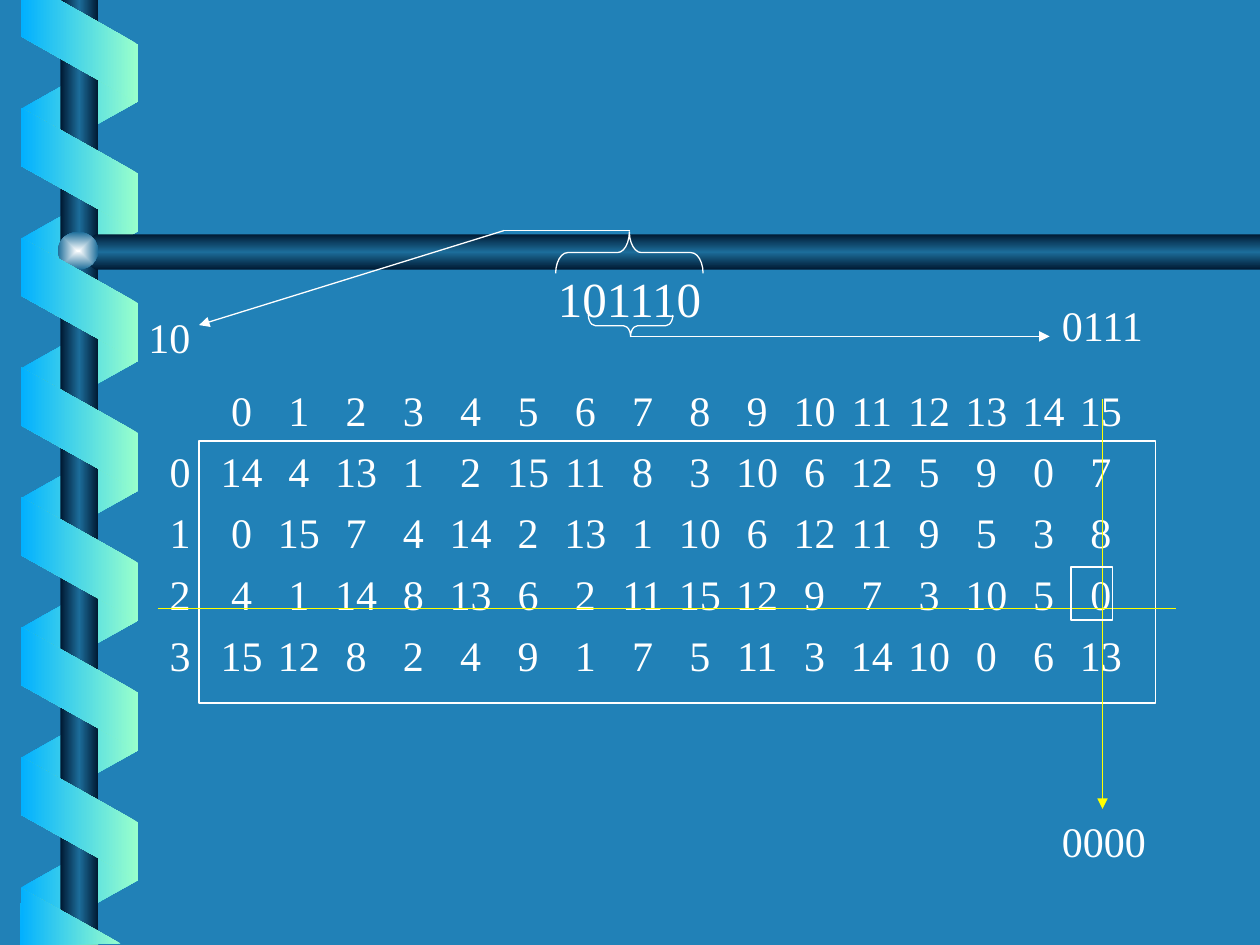
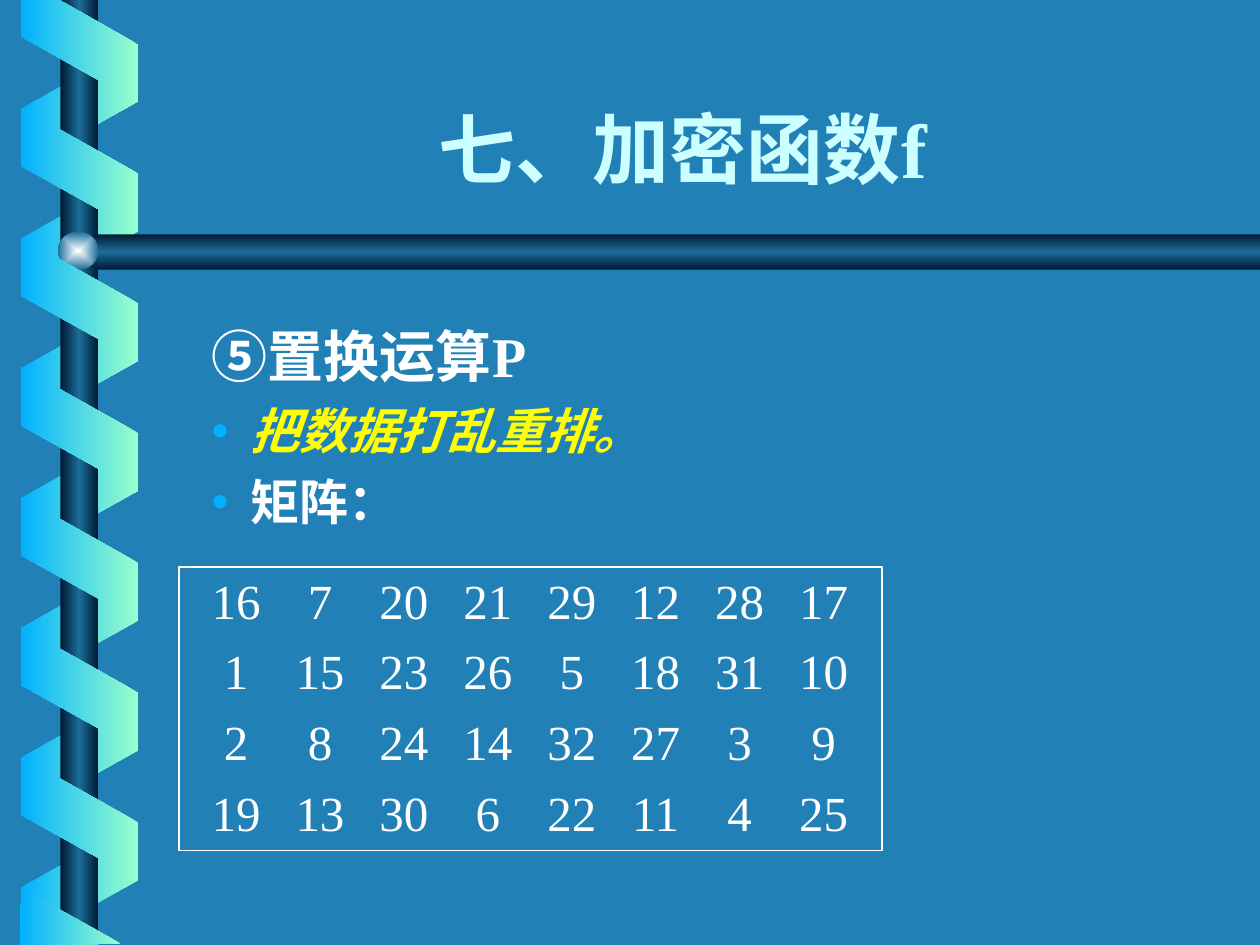
from dataclasses import dataclass

from pptx import Presentation
from pptx.dml.color import RGBColor
from pptx.enum.shapes import MSO_CONNECTOR, MSO_SHAPE
from pptx.enum.text import MSO_ANCHOR, MSO_AUTO_SIZE, PP_ALIGN
from pptx.oxml import parse_xml
from pptx.oxml.ns import nsdecls, qn
from pptx.util import Inches, Pt

STRAIGHT = MSO_CONNECTOR.STRAIGHT
RECTANGLE = MSO_SHAPE.RECTANGLE
ELLIPSE = MSO_SHAPE.OVAL
PARALLELOGRAM = MSO_SHAPE.PARALLELOGRAM
LEFT_BRACE = MSO_SHAPE.LEFT_BRACE
CENTER = PP_ALIGN.CENTER
JUSTIFY_LEFT = PP_ALIGN.LEFT
MIDDLE = MSO_ANCHOR.MIDDLE
BOTTOM = MSO_ANCHOR.BOTTOM
NO_AUTOFIT = MSO_AUTO_SIZE.NONE

COLORS = {
    "background": "2181B7",
    "text": "FFFFFF",
    "title": "CCFFFF",
    "highlight": "FFFF00",
    "ribbon_blue": "01B0FF",
    "ribbon_green": "99FFCC",
    "pole_dark": "001932",
    "pole_light": "1C6D9A",
    "ball_light": "FEFFFF",
}
SERIF = "Times New Roman"
SANS = "Roboto Condensed"
NO_GRID_STYLE = "{2D5ABB26-0587-4C30-8999-92F81FD0307C}"

BACK_RIBBON = ["ribbon_blue", "ribbon_green"]
FRONT_RIBBON = ["ribbon_green", "ribbon_blue"]
POLE = ["pole_dark", "pole_light", "pole_dark"]

SUBSTITUTION_ROWS = [
    [""] + list(range(16)),
    [0, 14, 4, 13, 1, 2, 15, 11, 8, 3, 10, 6, 12, 5, 9, 0, 7],
    [1, 0, 15, 7, 4, 14, 2, 13, 1, 10, 6, 12, 11, 9, 5, 3, 8],
    [2, 4, 1, 14, 8, 13, 6, 2, 11, 15, 12, 9, 7, 3, 10, 5, 0],
    [3, 15, 12, 8, 2, 4, 9, 1, 7, 5, 11, 3, 14, 10, 0, 6, 13],
]
PERMUTATION_ROWS = [
    [16, 7, 20, 21, 29, 12, 28, 17],
    [1, 15, 23, 26, 5, 18, 31, 10],
    [2, 8, 24, 14, 32, 27, 3, 9],
    [19, 13, 30, 6, 22, 11, 4, 25],
]


@dataclass
class Box:
    left: float
    top: float
    width: float
    height: float

    def inner(self, left, top, width, height):
        return Box(self.left + left, self.top + top, width, height)

    def emu(self):
        return [Inches(v) for v in (self.left, self.top, self.width, self.height)]


def rgb(name):
    return RGBColor.from_string(COLORS[name])


def add_text(paragraph, text, size, color="text", font=SERIF, bold=False, italic=False):
    run = paragraph.add_run()
    run.text = text
    run.font.name = font
    run.font.size = Pt(size)
    run.font.bold = bold
    run.font.italic = italic
    run.font.color.rgb = rgb(color)


def fill_gradient(shape, color_names, angle=None):
    last = len(color_names) - 1
    stops = "".join(
        f'<a:gs pos="{index * 100000 // last}"><a:srgbClr val="{COLORS[name]}"/></a:gs>'
        for index, name in enumerate(color_names)
    )
    if angle is None:
        direction = (
            '<a:path path="rect"><a:fillToRect l="50000" t="50000" '
            'r="50000" b="50000"/></a:path>'
        )
    else:
        direction = f'<a:lin ang="{angle * 60000}" scaled="1"/>'
    gradient = parse_xml(
        f'<a:gradFill {nsdecls("a")} rotWithShape="0">'
        f"<a:gsLst>{stops}</a:gsLst>{direction}</a:gradFill>"
    )
    shape.shadow.inherit = False
    shape.line.fill.background()
    shape.fill.background()
    properties = shape.element.spPr
    properties.replace(properties.find(qn("a:noFill")), gradient)


def add_outline(slide, preset, box, rotation=0):
    shape = slide.shapes.add_shape(preset, *box.emu())
    shape.shadow.inherit = False
    shape.fill.background()
    shape.line.color.rgb = rgb("text")
    shape.line.width = Pt(0.75)
    shape.rotation = rotation
    return shape


def add_line(slide, start, end, color="text", arrow=False):
    connector = slide.shapes.add_connector(
        STRAIGHT, *[Inches(value) for value in (*start, *end)]
    )
    connector.line.color.rgb = rgb(color)
    connector.line.width = Pt(0.75)
    properties = connector.element.spPr
    if arrow:
        properties.find(qn("a:ln")).append(
            parse_xml(f'<a:tailEnd {nsdecls("a")} type="triangle"/>')
        )
    properties.append(parse_xml(f'<a:effectLst {nsdecls("a")}/>'))


def add_label(slide, box, text, size=24):
    frame = slide.shapes.add_textbox(*box.emu()).text_frame
    frame.word_wrap = True
    add_text(frame.paragraphs[0], text, size)


def add_matrix(slide, box, rows, size, first_width=None):
    column_count = len(rows[0])
    graphic = slide.shapes.add_table(len(rows), column_count, *box.emu())
    table = graphic.table
    table.first_row = False
    table.horz_banding = False
    next(graphic.element.iter(qn("a:tableStyleId"))).text = NO_GRID_STYLE
    if first_width:
        rest = (box.width - first_width) / (column_count - 1)
        for index, column in enumerate(table.columns):
            column.width = Inches(rest if index else first_width)
    for row_index, values in enumerate(rows):
        for column_index, value in enumerate(values):
            cell = table.cell(row_index, column_index)
            cell.fill.background()
            cell.vertical_anchor = MIDDLE
            cell.margin_left = cell.margin_right = 0
            cell.margin_top = cell.margin_bottom = 0
            paragraph = cell.text_frame.paragraphs[0]
            paragraph.alignment = CENTER
            add_text(paragraph, str(value), size)


def add_ribbon(slide, box, top, front):
    shape = slide.shapes.add_shape(PARALLELOGRAM, *box.inner(0.14, top, 0.98, 0.93).emu())
    shape.adjustments[0] = 0.56
    shape.rotation = 270 if front else 90
    if not front:
        shape.element.spPr.find(qn("a:xfrm")).set("flipH", "1")
    fill_gradient(shape, FRONT_RIBBON if front else BACK_RIBBON, 180)


def add_polygon(slide, box, points, color_names, angle):
    corners = [(Inches(box.left + x), Inches(box.top + y)) for x, y in points]
    builder = slide.shapes.build_freeform(*corners[0])
    builder.add_line_segments(corners[1:], close=True)
    fill_gradient(builder.convert_to_shape(), color_names, angle)


def add_spiral_frame(slide, box):
    pitch = 1.03
    for index in range(7):
        add_ribbon(slide, box, 0.37 + pitch * index, front=False)
    pole = slide.shapes.add_shape(RECTANGLE, *box.inner(0.48, 0, 0.3, box.height).emu())
    fill_gradient(pole, POLE, 180)
    crossbar = [(box.width, 1.86), (0.76, 1.86), (0.6, 2), (0.76, 2.14), (box.width, 2.14)]
    add_polygon(slide, box, crossbar, POLE, 90)
    ball = slide.shapes.add_shape(ELLIPSE, *box.inner(0.46, 1.84, 0.32, 0.3).emu())
    fill_gradient(ball, ["ball_light", "pole_light"])
    for index in range(6):
        add_ribbon(slide, box, 0.88 + pitch * index, front=True)
    top_end = [(0.17, 0), (0.17, 0.29), (1.09, 0.81), (1.09, 0.35), (0.47, 0)]
    bottom_end = [(0.96, 7.49), (0.17, 7.05), (0.16, 7.5)]
    for points in (top_end, bottom_end):
        add_polygon(slide, box, points, FRONT_RIBBON, 180)


def style_master(presentation, slide, box):
    master = presentation.slide_master
    master.background.fill.solid()
    master.background.fill.fore_color.rgb = rgb("background")
    add_spiral_frame(slide, box)
    for index, shape in enumerate(list(slide.shapes)):
        shape.element.xpath(".//p:cNvPr")[0].set("id", str(100 + index))
        master.shapes.element.insert(2 + index, shape.element)


def add_input_bits(slide, box):
    x, y = box.left, box.top
    middle = x + 3.92
    add_label(slide, box.inner(3.25, 0.25, 1.67, 0.57), "101110", 28)
    add_label(slide, box.inner(0, 0.59, 1.67, 0.5), "10")
    add_label(slide, box.inner(7.25, 0.5, 1.08, 0.5), "0111")
    outer = add_outline(slide, LEFT_BRACE, box.inner(3.75, -0.41, 0.33, 1.17), 90)
    outer.adjustments[0] = 0.29
    inner = add_outline(slide, LEFT_BRACE, box.inner(3.84, 0.42, 0.17, 0.67), 270)
    inner.adjustments[0] = 0.33
    add_line(slide, (middle, y), (x + 2.92, y))
    add_line(slide, (x + 2.92, y), (x + 0.5, y + 0.75), arrow=True)
    add_line(slide, (middle, y + 0.84), (x + 7.25, y + 0.84), arrow=True)


def add_substitution_box(slide, box):
    x, y = box.left, box.top
    add_outline(slide, RECTANGLE, box)
    add_matrix(slide, box.inner(-0.41, -0.47, 7.8, 2.43), SUBSTITUTION_ROWS, 24, 0.52)
    column_x, row_y = x + 7.17, y + 1.33
    add_line(slide, (column_x, y - 0.33), (column_x, y + 2.92), "highlight", arrow=True)
    add_line(slide, (x - 0.33, row_y), (x + 7.75, row_y), "highlight")
    add_outline(slide, RECTANGLE, box.inner(6.92, 1, 0.33, 0.42))
    add_label(slide, box.inner(6.75, 2.92, 1.67, 0.5), "0000")


def place(placeholder, box):
    placeholder.left, placeholder.top, placeholder.width, placeholder.height = box.emu()
    placeholder.text_frame.auto_size = NO_AUTOFIT
    return placeholder.text_frame


def add_title(slide, box, text):
    frame = place(slide.shapes.title, box)
    frame.vertical_anchor = BOTTOM
    paragraph = frame.paragraphs[0]
    paragraph.alignment = CENTER
    add_text(paragraph, text, 44, "title", bold=True)


def set_bullet(paragraph, visible):
    properties = paragraph._p.get_or_add_pPr()
    properties.set("marL", str(Inches(0.81)))
    properties.set("indent", str(Inches(-0.31)))
    if visible:
        properties.append(parse_xml(
            f'<a:buClr {nsdecls("a")}><a:srgbClr val="{COLORS["ribbon_blue"]}"/></a:buClr>'
        ))
        properties.append(parse_xml(f'<a:buChar {nsdecls("a")} char="•"/>'))
    else:
        properties.append(parse_xml(f'<a:buNone {nsdecls("a")}/>'))


def add_permutation_list(slide, box):
    frame = place(slide.placeholders[1], box)
    heading, purpose, matrix = (
        frame.paragraphs[0], frame.add_paragraph(), frame.add_paragraph()
    )
    for paragraph, space in ((heading, 8), (purpose, 7), (matrix, 7)):
        paragraph.level = 1
        paragraph.alignment = JUSTIFY_LEFT
        paragraph.space_before = Pt(space)
        set_bullet(paragraph, paragraph is not heading)
    add_text(heading, "⑤置换运算", 32, font=SANS, bold=True)
    add_text(heading, "P", 32, bold=True)
    add_text(purpose, "把数据打乱重排。", 28, "highlight", SANS, bold=True, italic=True)
    add_text(matrix, "矩阵：", 28, bold=True)


def add_permutation_matrix(slide, box):
    add_outline(slide, RECTANGLE, box)
    add_matrix(slide, box.inner(0.12, 0, 5.33, box.height), PERMUTATION_ROWS, 28)


def main():
    presentation = Presentation()
    page = Box(0, 0, 10, 7.5)
    presentation.slide_width = Inches(page.width)
    presentation.slide_height = Inches(page.height)

    substitution = presentation.slides.add_slide(presentation.slide_layouts[6])
    style_master(presentation, substitution, page)
    add_input_bits(substitution, Box(1.08, 1.83, 8.33, 1.09))
    add_substitution_box(substitution, Box(1.58, 3.5, 7.59, 2.08))

    permutation = presentation.slides.add_slide(presentation.slide_layouts[1])
    add_title(permutation, Box(1.17, 0.67, 8.5, 0.92), "七、加密函数f")
    add_permutation_list(permutation, Box(1.08, 2.5, 8.92, 1.95))
    add_permutation_matrix(permutation, Box(1.42, 4.5, 5.58, 2.25))

    presentation.save("out.pptx")


if __name__ == "__main__":
    main()
